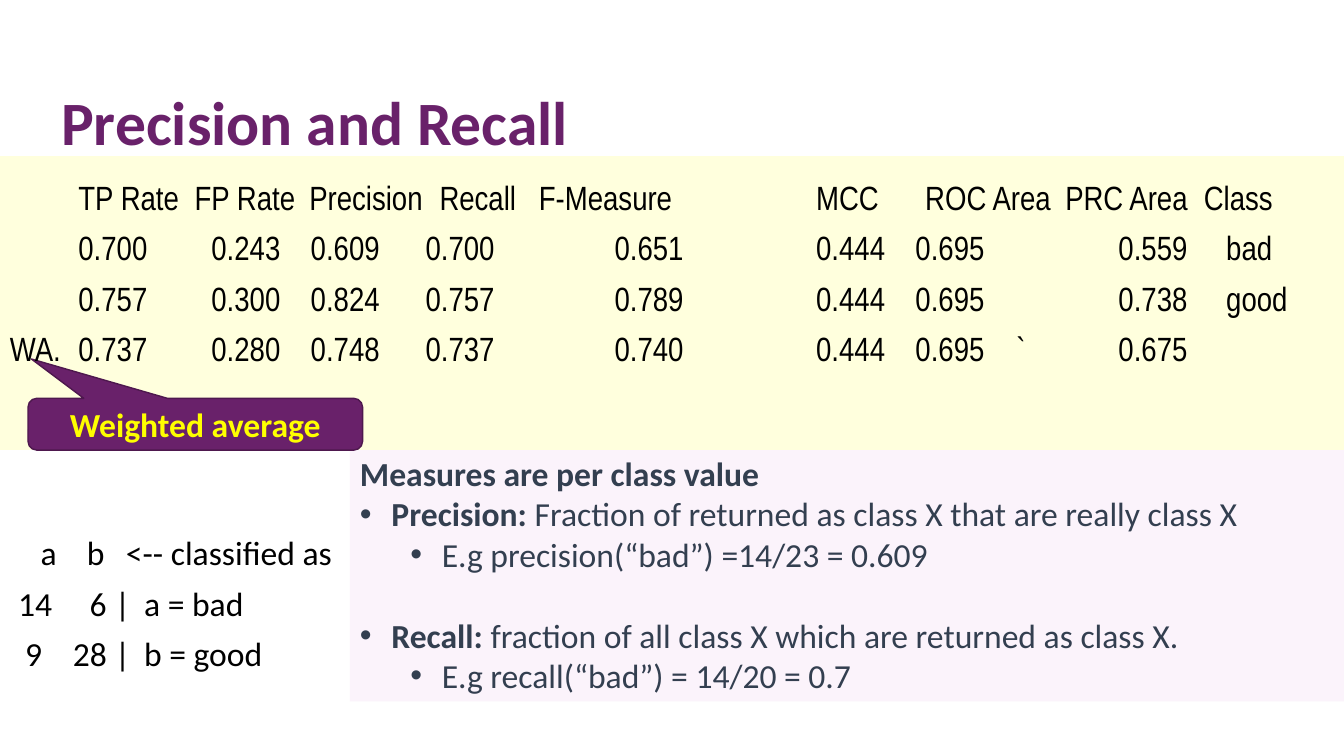
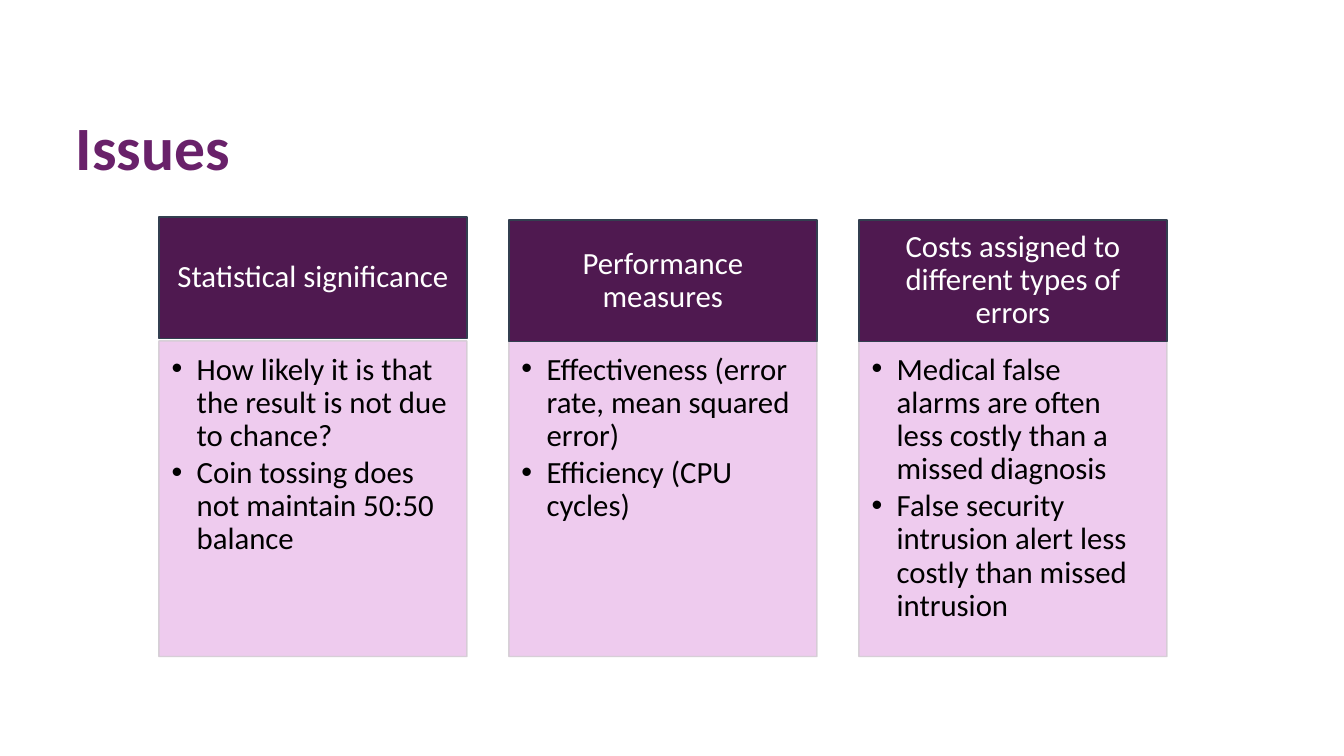
from itertools import pairwise

from lxml.etree import SubElement
from pptx import Presentation
from pptx.dml.color import RGBColor
from pptx.enum.shapes import MSO_SHAPE
from pptx.enum.text import MSO_ANCHOR, PP_ALIGN
from pptx.oxml.ns import qn
from pptx.util import Pt

COLORS = {
    "title": "69216A",
    "callout_line": "4E184E",
    "callout_text": "FFFF00",
    "band": "FFFFDD",
    "panel": "FBF3FB",
    "slate": "333F50",
    "header": "4F1950",
    "card": "EDC6ED",
    "card_line": "D4CDD4",
    "black": "000000",
    "white": "FFFFFF",
}
BODY_FONT = "Calibri"
TABLE_FONT = "Arial Narrow"
PLAIN_TABLE_STYLE = "{2D5ABB26-0587-4C30-8999-92F81FD0307C}"

METRIC_EDGES = [7, 56, 139, 221, 304, 385, 583, 654, 761, 860, 960]
METRIC_HEADING_STARTS = [7, 56, 139, 221, 314, 385, 583, 661, 761, 860]
METRIC_VALUE_STARTS = [7, 56, 151, 222, 304, 439, 583, 654, 799, 876]
METRIC_ROWS = [
    ["", "TP Rate", "FP Rate", "Precision", "Recall", "F-Measure", "MCC",
     "ROC Area", "PRC Area", "Class"],
    ["", "0.700", "0.243", "0.609", "0.700", "0.651", "0.444", "0.695", "0.559", "bad"],
    ["", "0.757", "0.300", "0.824", "0.757", "0.789", "0.444", "0.695", "0.738", "good"],
    ["WA.", "0.737", "0.280", "0.748", "0.737", "0.740", "0.444", "0.695\t`", "0.675", ""],
]

MATRIX_EDGES = [13, 52, 82, 103, 250]
MATRIX_STARTS = [[29, 62, 90, 103], [13, 64, 82, 103], [18, 52, 82, 103]]
MATRIX_ROWS = [
    ["a", "b", "<-- classified as", ""],
    ["14", "6", "|", "a = bad"],
    ["9", "28", "|", "b = good"],
]

ISSUES = [
    ("Statistical significance", 155, [
        "How likely it is that the result is not due to chance?",
        "Coin tossing does not maintain 50:50 balance",
    ]),
    ("Performance measures", 157, [
        "Effectiveness (error rate, mean squared error)",
        "Efficiency (CPU cycles)",
    ]),
    ("Costs assigned to different types of errors", 157, [
        "Medical false alarms are often less costly than a missed diagnosis",
        "False security intrusion alert less costly than missed intrusion",
    ]),
]


def rgb(name):
    """Look up a palette colour."""
    return RGBColor.from_string(COLORS[name])


def add_run(paragraph, text, size, color, bold=False, font=BODY_FONT):
    """Append one formatted run."""
    run = paragraph.add_run()
    run.text = text
    run.font.name = font
    run.font.size = Pt(size)
    run.font.bold = bold
    run.font.color.rgb = rgb(color)


def add_bullet(paragraph, left, hanging):
    """Give a paragraph a hanging round bullet."""
    properties = paragraph._p.get_or_add_pPr()
    properties.set("marL", str(Pt(left)))
    properties.set("indent", str(-Pt(hanging)))
    SubElement(properties, qn("a:buFont"), typeface="Arial")
    SubElement(properties, qn("a:buChar"), char="•")


def set_alpha(fill, percent):
    """Make a solid fill partly transparent."""
    color = fill._xPr.find(qn("a:solidFill"))[0]
    SubElement(color, qn("a:alpha"), val=str(percent * 1000))


def set_frame(frame, anchor=MSO_ANCHOR.TOP, insets=(7.2, 3.6, 7.2, 3.6)):
    """Set wrapping, anchor and insets, and return the first paragraph."""
    frame.word_wrap = True
    frame.vertical_anchor = anchor
    frame.margin_left, frame.margin_top, frame.margin_right, frame.margin_bottom = map(Pt, insets)
    return frame.paragraphs[0]


def add_box(slide, box, fill, line=None, kind=MSO_SHAPE.RECTANGLE):
    """Add a filled shape without a shadow."""
    shape = slide.shapes.add_shape(kind, *map(Pt, box))
    shape.shadow.inherit = False
    shape.fill.solid()
    shape.fill.fore_color.rgb = rgb(fill)
    if line:
        shape.line.color.rgb = rgb(line)
        shape.line.width = Pt(1)
    else:
        shape.line.fill.background()
    return shape


def add_titled_slide(presentation, title, box):
    """Add a title-only slide with the shared title style."""
    slide = presentation.slides.add_slide(presentation.slide_layouts[5])
    shape = slide.shapes.title
    shape.left, shape.top, shape.width, shape.height = map(Pt, box)
    paragraph = set_frame(shape.text_frame)
    paragraph.alignment = PP_ALIGN.LEFT
    paragraph.line_spacing = 0.9
    add_run(paragraph, title, 44, "title", bold=True)
    return slide


def add_grid(slide, top, edges, rows, starts, font):
    """Add an unruled table whose cell texts begin at the given starts."""
    row_height = 36
    shape = slide.shapes.add_table(
        len(rows), len(edges) - 1, Pt(edges[0]), Pt(top),
        Pt(edges[-1] - edges[0]), Pt(row_height * len(rows)))
    table = shape.table
    table.first_row = table.horz_banding = False
    table._tbl.tblPr.find(qn("a:tableStyleId")).text = PLAIN_TABLE_STYLE
    for column, (left, right) in zip(table.columns, pairwise(edges)):
        column.width = Pt(right - left)
    for row, texts, row_starts in zip(table.rows, rows, starts):
        row.height = Pt(row_height)
        for cell, text, start, edge in zip(row.cells, texts, row_starts, edges):
            cell.fill.background()
            cell.vertical_anchor = MSO_ANCHOR.MIDDLE
            cell.margin_left = Pt(start - edge)
            cell.margin_right = cell.margin_top = cell.margin_bottom = Pt(0)
            paragraph = cell.text_frame.paragraphs[0]
            paragraph.font.size = Pt(24)
            if text:
                add_run(paragraph, text, 24, "black", font=font)
    return table


def add_definitions(slide):
    """Add the panel that defines precision and recall."""
    panel = add_box(slide, (250, 320, 710, 181), "panel")
    paragraph = set_frame(panel.text_frame)
    paragraph.alignment = PP_ALIGN.LEFT
    add_run(paragraph, "Measures are per class value", 24, "slate", bold=True)
    definitions = [
        ("Precision: ", "Fraction of returned as class X that are really class X",
         "E.g precision(“bad”) =14/23 = 0.609", 0),
        ("Recall: ", "fraction of all class X which are returned as class X.",
         "E.g recall(“bad”) = 14/20 = 0.7", 29),
    ]
    for term, meaning, example, gap in definitions:
        paragraph = panel.text_frame.add_paragraph()
        paragraph.alignment = PP_ALIGN.LEFT
        paragraph.space_before = Pt(gap)
        add_bullet(paragraph, 22.5, 22.5)
        add_run(paragraph, term, 24, "slate", bold=True)
        add_run(paragraph, meaning, 24, "slate")
        paragraph = panel.text_frame.add_paragraph()
        paragraph.alignment = PP_ALIGN.LEFT
        paragraph.level = 1
        add_bullet(paragraph, 58.5, 22.5)
        add_run(paragraph, example, 24, "slate")


def add_callout(slide, text):
    """Add the speech callout that explains a row label."""
    callout = add_box(slide, (20, 284.5, 239, 37), "title", "callout_line",
                      MSO_SHAPE.ROUNDED_RECTANGULAR_CALLOUT)
    for index, value in enumerate((-0.49, -1.26, 0.17)):
        callout.adjustments[index] = value
    paragraph = set_frame(callout.text_frame, MSO_ANCHOR.MIDDLE)
    paragraph.alignment = PP_ALIGN.CENTER
    add_run(paragraph, text, 24, "callout_text", bold=True)


def add_issue(slide, left, heading, top, points):
    """Add one card with a heading and bulleted points."""
    width = 220
    body = add_box(slide, (left, 243.5, width, 225.5), "card", "card_line")
    set_alpha(body.fill, 90)
    set_alpha(body.line.fill, 90)
    paragraph = set_frame(body.text_frame, insets=(9, 9, 12, 13))
    for index, point in enumerate(points):
        if index:
            paragraph = body.text_frame.add_paragraph()
        paragraph.alignment = PP_ALIGN.LEFT
        paragraph.line_spacing = 0.9
        paragraph.space_after = Pt(2.5)
        add_bullet(paragraph, 18, 18)
        add_run(paragraph, point, 22, "black")
    header = add_box(slide, (left, top, width, 87), "header", "slate")
    paragraph = set_frame(header.text_frame, MSO_ANCHOR.MIDDLE, (12, 7, 12, 7))
    paragraph.alignment = PP_ALIGN.CENTER
    paragraph.line_spacing = 0.9
    add_run(paragraph, heading, 22, "white")


def build_precision_slide(presentation):
    """Build the slide on precision and recall."""
    slide = add_titled_slide(presentation, "Precision and Recall", (36.5, 62, 619, 115))
    add_definitions(slide)
    add_box(slide, (0, 111.5, 960, 210), "band")
    add_callout(slide, "Weighted average")
    metric_starts = [METRIC_HEADING_STARTS] + [METRIC_VALUE_STARTS] * 3
    add_grid(slide, 126, METRIC_EDGES, METRIC_ROWS, metric_starts, TABLE_FONT)
    matrix = add_grid(slide, 378, MATRIX_EDGES, MATRIX_ROWS, MATRIX_STARTS, BODY_FONT)
    matrix.cell(0, 2).merge(matrix.cell(0, 3))


def build_issues_slide(presentation):
    """Build the slide with the three issue cards."""
    slide = add_titled_slide(presentation, "Issues", (47, 80.5, 828, 60))
    for index, (heading, top, points) in enumerate(ISSUES):
        add_issue(slide, 113.5 + 250 * index, heading, top, points)


def main():
    """Build and save the presentation."""
    presentation = Presentation()
    presentation.slide_width = Pt(960)
    presentation.slide_height = Pt(540)
    build_precision_slide(presentation)
    build_issues_slide(presentation)
    presentation.save("out.pptx")


if __name__ == "__main__":
    main()
